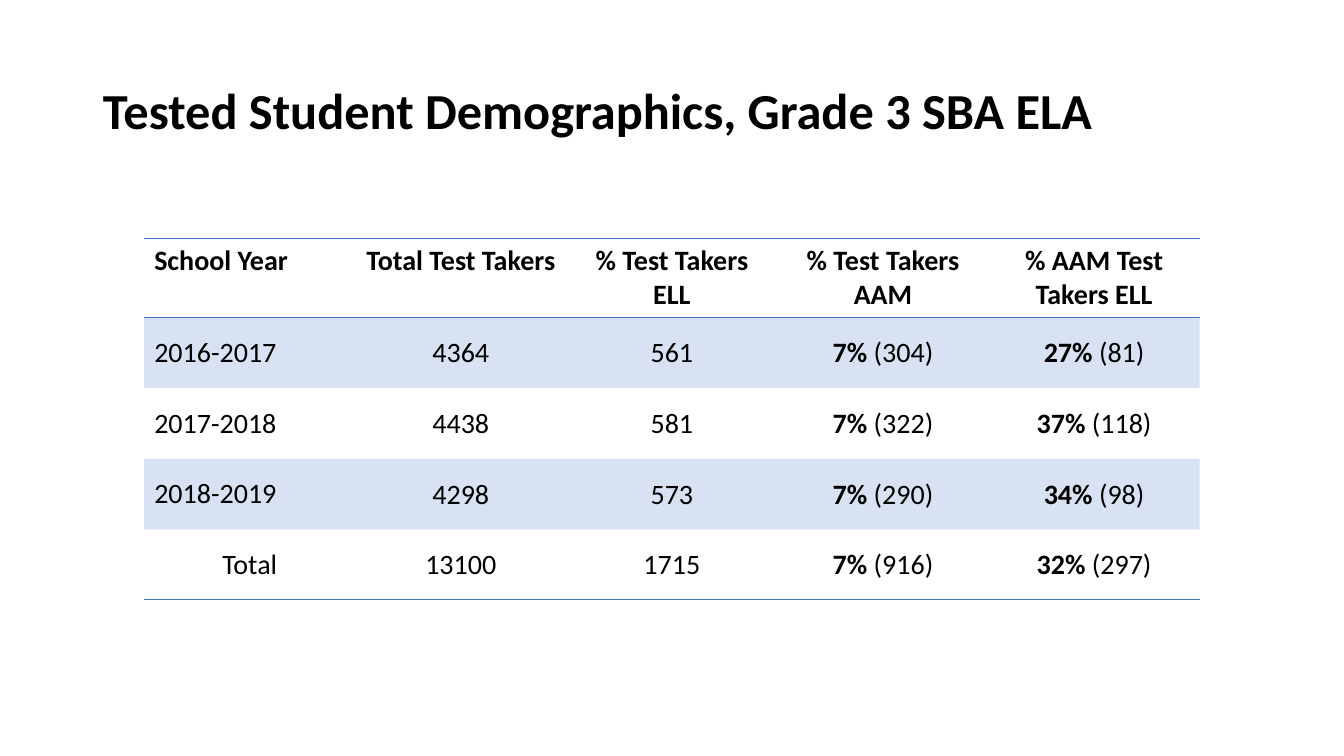
from lxml.etree import SubElement
from pptx import Presentation
from pptx.dml.color import RGBColor
from pptx.enum.text import MSO_ANCHOR, MSO_AUTO_SIZE, PP_ALIGN
from pptx.oxml import parse_xml
from pptx.oxml.ns import nsdecls, qn
from pptx.util import Pt

EMU_PER_PX = 9144  # 100 px to the inch
BLACK = RGBColor(0x00, 0x00, 0x00)
BLUE = RGBColor(0x44, 0x72, 0xC4)
BAND_ALPHA = 20000
PLAIN_TABLE_STYLE = "{2D5ABB26-0587-4C30-8999-92F81FD0307C}"

HEADINGS = ["School Year", "Total Test Takers", "% Test Takers ELL",
            "% Test Takers AAM", "% AAM Test Takers ELL"]
# Each share is a pair: percentage and head count.
YEARS = [
    ["2016-2017", "4364", "561", ("7%", "304"), ("27%", "81")],
    ["2017-2018", "4438", "581", ("7%", "322"), ("37%", "118")],
    ["2018-2019", "4298", "573", ("7%", "290"), ("34%", "98")],
    ["Total", "13100", "1715", ("7%", "916"), ("32%", "297")],
]


def px(length):
    return length * EMU_PER_PX


class DemographicsPage:
    font_name = "Calibri"

    def __init__(self, deck):
        self.page = deck.slides.add_slide(deck.slide_layouts[5])

    def style(self, paragraph, size, bold, align):
        paragraph.alignment = align
        font = paragraph.font
        font.name, font.size, font.bold = self.font_name, Pt(size), bold
        font.color.rgb = BLACK

    def title(self, text, left, top, width, height):
        box = self.page.shapes.title
        box.left, box.top, box.width, box.height = map(px, (left, top, width, height))
        frame = box.text_frame
        frame.text = text
        frame.auto_size = MSO_AUTO_SIZE.NONE
        frame.vertical_anchor = MSO_ANCHOR.MIDDLE
        frame.paragraphs[0].line_spacing = 0.9
        self.style(frame.paragraphs[0], 36, True, PP_ALIGN.LEFT)

    def table(self, headings, rows, left, top, width, header_height, row_height):
        height = header_height + row_height * len(rows)
        frame = self.page.shapes.add_table(
            len(rows) + 1, len(headings), *map(px, (left, top, width, height)))
        table = frame.table
        table.horz_banding = False
        table._tbl.tblPr.find(qn("a:tableStyleId")).text = PLAIN_TABLE_STYLE
        for row in table.rows:
            row.height = px(row_height)
        table.rows[0].height = px(header_height)

        for column, heading in enumerate(headings):
            cell = table.cell(0, column)
            cell.text = heading
            align = PP_ALIGN.CENTER if column else PP_ALIGN.LEFT
            self.style(cell.text_frame.paragraphs[0], 20, True, align)
            self.rule(cell, "lnT", "lnB")

        for number, values in enumerate(rows, 1):
            is_total = number == len(rows)
            for column, value in enumerate(values):
                cell = table.cell(number, column)
                self.value(cell, value, column > 0 or is_total)
                if column:
                    cell.margin_left = cell.margin_right = cell.margin_top = px(1)
                    cell.margin_bottom = 0
                if number % 2:
                    self.band(cell)
                if is_total:
                    self.rule(cell, "lnB")

    def value(self, cell, value, centred):
        """Write plain text, or a bold percentage followed by its count."""
        cell.vertical_anchor = MSO_ANCHOR.MIDDLE
        paragraph = cell.text_frame.paragraphs[0]
        self.style(paragraph, 20, False, PP_ALIGN.CENTER if centred else PP_ALIGN.LEFT)
        if isinstance(value, tuple):
            percentage, count = value
            span = paragraph.add_run()
            span.text = f"{percentage} "
            span.font.bold = True
            value = f"({count})"
        paragraph.add_run().text = value

    def band(self, cell):
        cell.fill.solid()
        cell.fill.fore_color.rgb = BLUE
        color = cell._tc.tcPr.find(f".//{qn('a:srgbClr')}")
        SubElement(color, qn("a:alpha"), val=str(BAND_ALPHA))

    def rule(self, cell, *sides):
        """Draw a 1 pt blue border on the given sides of a cell."""
        properties = cell._tc.get_or_add_tcPr()
        for position, side in enumerate(sides):
            properties.insert(position, parse_xml(
                f'<a:{side} {nsdecls("a")} w="{Pt(1)}"><a:solidFill>'
                f'<a:srgbClr val="{BLUE}"/></a:solidFill></a:{side}>'))


def main():
    deck = Presentation()
    deck.slide_width, deck.slide_height = px(1333), px(750)
    page = DemographicsPage(deck)
    page.title("Tested Student Demographics, Grade 3 SBA ELA", 92, 40, 1150, 145)
    page.table(HEADINGS, YEARS, 143, 237, 1047, header_height=78, row_height=70)
    deck.save("out.pptx")


if __name__ == "__main__":
    main()
